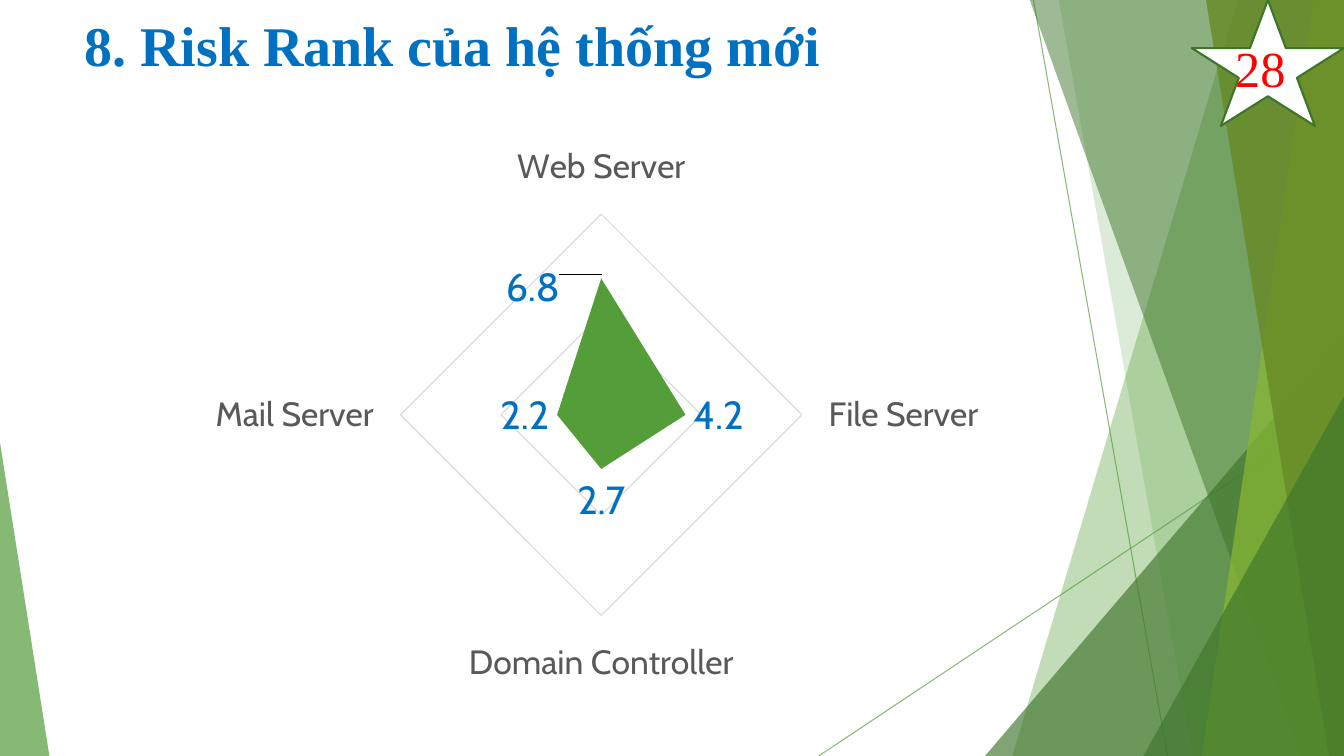
import pptx
import pptx.chart.data
import pptx.dml.color
import pptx.enum.chart
import pptx.enum.shapes
import pptx.enum.text
import pptx.oxml
import pptx.oxml.ns
import pptx.util
from lxml import etree

Inches, Pt = pptx.util.Inches, pptx.util.Pt
qn = pptx.oxml.ns.qn
Kind = pptx.enum.shapes.MSO_SHAPE
Align = pptx.enum.text.PP_ALIGN
Anchor = pptx.enum.text.MSO_ANCHOR


class Theme:
    green, dark, lime, olive = "549E39", "3F762B", "8AB833", "678A26"
    white, edge, grid = "FFFFFF", "3E752A", "D9D9D9"
    head = dict(name="Times New Roman", size=Pt(40), bold=True, color="0070C0")
    num = dict(name="Times New Roman", size=Pt(36), color="FF0000")
    base = dict(name="Cabin", size=Pt(10), color="000000")
    axis = dict(name="Cabin", size=Pt(24), color="595959")
    label = dict(name="Cabin", size=Pt(28), color="0070C0")


def rgb(text):
    return pptx.dml.color.RGBColor.from_string(text)


def style(item, form):
    """Set attributes from a dict; colour goes through the colour object."""
    for key, value in form.items():
        if key == "color":
            item.color.rgb = rgb(value)
        else:
            setattr(item, key, value)


def fade(part, alpha):
    """Give the solid colour inside an element an opacity in percent."""
    color = next(part.iter(qn("a:srgbClr")))
    etree.SubElement(color, qn("a:alpha")).set("val", str(alpha * 1000))


class Deck:
    def __init__(self, theme):
        self.theme = theme
        self.file = pptx.Presentation()
        self.file.slide_width = Inches(13.33)
        self.file.slide_height = Inches(7.5)
        self.slide = self.file.slides.add_slide(self.file.slide_layouts[5])
        self.shapes = self.slide.shapes

    def paint(self, shape, color, alpha=100, edge=None):
        shape.shadow.inherit = False
        shape.fill.solid()
        shape.fill.fore_color.rgb = rgb(color)
        if alpha < 100:
            fade(shape._element.spPr, alpha)
        if edge:
            style(shape.line, dict(color=edge, width=Pt(1.5)))
        else:
            shape.line.fill.background()

    def shape(self, kind, box, color, alpha=100, edge=None, adj=None):
        shape = self.shapes.add_shape(kind, *map(Inches, box))
        if adj is not None:
            shape.adjustments[0] = adj
        self.paint(shape, color, alpha, edge)

    def band(self, top, foot, color, alpha):
        """Fill from a slanted left edge to the right side of the slide."""
        dots = [(Inches(x), Inches(y)) for x, y in
                [(top, -0.01), (13.33, -0.01), (13.33, 7.5), (foot, 7.5)]]
        form = self.shapes.build_freeform(*dots[0])
        form.add_line_segments(dots[1:], close=True)
        self.paint(form.convert_to_shape(), color, alpha)

    def line(self, start, end, color, alpha):
        line = self.shapes.add_connector(
            pptx.enum.shapes.MSO_CONNECTOR.STRAIGHT, *map(Inches, start + end))
        style(line.line, dict(color=color, width=Pt(0.75)))
        fade(line._element.spPr, alpha)
        etree.SubElement(line._element.spPr, qn("a:effectLst"))

    def words(self, shape, text, font, anchor, align):
        frame = shape.text_frame
        frame.text = text
        style(frame, dict(word_wrap=True, vertical_anchor=anchor,
                          auto_size=pptx.enum.text.MSO_AUTO_SIZE.NONE))
        frame.paragraphs[0].alignment = align
        style(frame.paragraphs[0].runs[0].font, font)

    def title(self, text, box):
        title = self.shapes.title
        for key, value in zip(("left", "top", "width", "height"), box):
            setattr(title, key, Inches(value))
        self.words(title, text, self.theme.head, Anchor.TOP, Align.LEFT)
        self.shapes._spTree.append(title._element)

    def text(self, text, box, font):
        shape = self.shapes.add_textbox(*map(Inches, box))
        self.words(shape, text, font, Anchor.MIDDLE, Align.RIGHT)

    def layout(self, **parts):
        """Build a manual chart layout."""
        node = etree.Element(qn("c:layout"))
        hand = etree.SubElement(node, qn("c:manualLayout"))
        for key, value in parts.items():
            etree.SubElement(hand, qn("c:" + key)).set("val", str(value))
        return node

    def radar(self, box, names, values):
        theme = self.theme
        data = pptx.chart.data.CategoryChartData()
        data.categories = names
        data.add_series("Series 1", values)
        chart = self.shapes.add_chart(
            pptx.enum.chart.XL_CHART_TYPE.RADAR_FILLED,
            *map(Inches, box), data).chart
        style(chart, dict(has_legend=False, has_title=False))
        style(chart.font, theme.base)

        # Axes
        none = pptx.enum.chart.XL_TICK_MARK.NONE
        cat, val = chart.category_axis, chart.value_axis
        style(cat, dict(has_major_gridlines=False, major_tick_mark=none))
        style(cat.tick_labels.font, theme.axis)
        style(val, dict(minimum_scale=0, maximum_scale=10, major_unit=5,
                        has_major_gridlines=True, visible=False))
        for line in (cat.format.line, val.major_gridlines.format.line):
            style(line, dict(color=theme.grid, width=Pt(0.75)))

        # Series and labels
        series = chart.plots[0].series[0]
        series.format.fill.solid()
        series.format.fill.fore_color.rgb = rgb(theme.green)
        series.format.line.fill.background()
        labels = series.data_labels
        labels.show_value = True
        style(labels.font, theme.label)
        first = series.points[0].data_label
        style(first.font, theme.label)
        mark = next(series._element.iter(qn("c:dLbl")))
        mark.find(qn("c:idx")).addnext(self.layout(x=-0.07, y=0.07))

        # Plot area
        area = next(chart._chartSpace.iter(qn("c:plotArea")))
        for old in area.findall(qn("c:layout")):
            area.remove(old)
        area.insert(0, self.layout(
            layoutTarget="inner", xMode="edge", yMode="edge",
            x=0.3, y=0.15, w=0.41, h=0.69))


def main():
    look = Theme()
    deck = Deck(look)

    # Green facets
    deck.line((10.25, 0), (11.58, 7.5), look.green, 70)
    deck.line((13.33, 4.03), (8.12, 7.5), look.green, 70)
    deck.band(12.28, 10.04, look.green, 36)
    deck.band(10.5, 11.83, look.green, 20)
    wedge = Kind.ISOSCELES_TRIANGLE
    deck.shape(wedge, (9.77, 3.33, 3.56, 4.17), look.dark, 66, adj=1)
    deck.band(10.21, 12.91, look.dark, 50)
    deck.band(13.03, 11.92, look.lime, 70)
    deck.band(11.96, 13.18, look.olive, 80)
    deck.shape(wedge, (11.34, 3.93, 1.99, 3.57), look.dark, 66, adj=1)
    deck.shape(wedge, (0, 4.39, 0.49, 3.11), look.green, 70, adj=0)

    # Title and page star
    deck.title("8. Risk Rank của hệ thống mới", (0.74, 0.05, 10.28, 1.25))
    deck.shape(Kind.STAR_5_POINT, (11.82, 0, 1.51, 1.25), look.white,
               edge=look.edge)
    deck.text("28", (11.95, 0.38, 0.9, 0.57), look.num)

    # Risk chart
    deck.radar((1.06, 1.25, 9.71, 5.79),
               ["Web Server", "File Server", "Domain Controller",
                "Mail Server"], [6.8, 4.2, 2.7, 2.2])
    deck.file.save("out.pptx")


if __name__ == "__main__":
    main()
